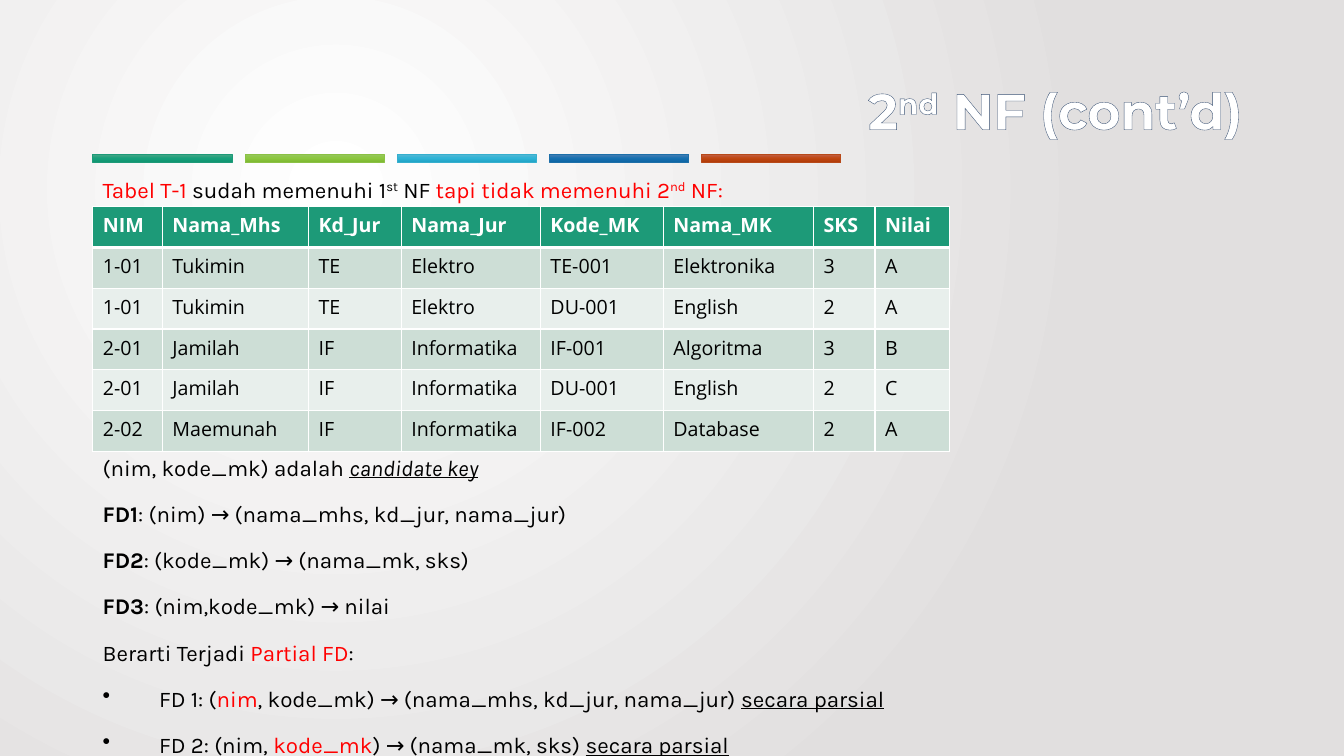
from pptx import Presentation
from pptx.dml.color import RGBColor
from pptx.enum.shapes import MSO_SHAPE as Shape
from pptx.enum.text import MSO_ANCHOR as Anchor, MSO_AUTO_SIZE as AutoSize, PP_ALIGN as Align
from pptx.oxml import parse_xml
from pptx.oxml.ns import nsdecls, qn
from pptx.util import Inches, Pt

COLORS = {
    "white": "FFFFFF", "black": "000000", "red": "FF0000", "backdrop": "E1DFDF",
    "title_edge": "3A5274", "header": "1D9A78", "odd": "CDDED6", "even": "E8EFEC",
}
BARS = [
    ("4EA788", "17A07B", "0F9470", "1D9A78"),
    ("98C862", "8CC73F", "7DB831", "8BC145"),
    ("59B8D4", "2EB3D6", "21A4C6", "36AFCE"),
    ("4E80B5", "1670B0", "0D65A3", "1D6FA9"),
    ("C2634D", "BF4611", "B13B08", "B74919"),
]
GRADES = [
    ["NIM", "Nama_Mhs", "Kd_Jur", "Nama_Jur", "Kode_MK", "Nama_MK", "SKS", "Nilai"],
    ["1-01", "Tukimin", "TE", "Elektro", "TE-001", "Elektronika", "3", "A"],
    ["1-01", "Tukimin", "TE", "Elektro", "DU-001", "English", "2", "A"],
    ["2-01", "Jamilah", "IF", "Informatika", "IF-001", "Algoritma", "3", "B"],
    ["2-01", "Jamilah", "IF", "Informatika", "DU-001", "English", "2", "C"],
    ["2-02", "Maemunah", "IF", "Informatika", "IF-002", "Database", "2", "A"],
]
COLUMN_WIDTHS = [0.69, 1.45, 0.92, 1.38, 1.22, 1.49, 0.61, 0.74]
RED, SUPER, RED_SUPER = {"color": "red"}, {"raised": True}, {"color": "red", "raised": True}
BOLD, UNDERLINE = {"bold": True}, {"underline": True}
INTRO = [
    [("Tabel T-1 ", RED), ("sudah memenuhi 1", {}), ("st", SUPER), (" NF ", {}),
     ("tapi tidak memenuhi 2", RED), ("nd", RED_SUPER), (" NF:", RED)],
]
DEPENDENCIES = [
    [("(nim, kode_mk) adalah ", {}), ("candidate key", {"italic": True, "underline": True})],
    [("FD1", BOLD), (": (nim) → (nama_mhs, kd_jur, nama_jur)", {})],
    [("FD2", BOLD), (": (kode_mk) → (nama_mk, sks)", {})],
    [("FD3", BOLD), (": (nim,kode_mk) → nilai", {})],
    [("Berarti Terjadi ", {}), ("Partial FD", RED), (":", {})],
    [("FD 1: (", {}), ("nim", RED), (", kode_mk) → (nama_mhs, kd_jur, nama_jur) ", {}),
     ("secara parsial", UNDERLINE)],
    [("FD 2: (nim, ", {}), ("kode_mk", RED), (") → (nama_mk, sks) ", {}),
     ("secara parsial", UNDERLINE)],
]
FIRST_BULLET = 5


class NormalFormSlide:
    """Holds the slide and its style, and draws each kind of element."""

    def __init__(self, deck):
        self.slide = deck.slides.add_slide(deck.slide_layouts[5])
        self.left = Inches(0.92)

    def gradient(self, fill, root, hexes, direction):
        fill.gradient()
        gradient = next(root.iter(qn("a:gradFill")))
        for child in list(gradient):
            gradient.remove(child)
        last = len(hexes) - 1
        stops = "".join(
            f'<a:gs pos="{100000 * i // last}"><a:srgbClr val="{value}"/></a:gs>'
            for i, value in enumerate(hexes))
        gradient.append(parse_xml(f'<a:gsLst {nsdecls("a")}>{stops}</a:gsLst>'))
        gradient.append(parse_xml(direction))

    def background(self):
        direction = (f'<a:path {nsdecls("a")} path="circle"><a:fillToRect l="50000" '
                     't="50000" r="100000" b="100000"/></a:path>')
        self.gradient(self.slide.background.fill, self.slide._element,
                      [COLORS["white"], COLORS["backdrop"]], direction)

    def bar(self, index, stops, edge):
        bar = self.slide.shapes.add_shape(
            Shape.RECTANGLE, self.left + Inches(1.51) * index, Inches(1.53),
            Inches(1.38), Inches(0.08))
        bar.shadow.inherit = False
        self.gradient(bar.fill, bar._element, stops,
                      f'<a:lin {nsdecls("a")} ang="5400000" scaled="0"/>')
        bar.line.color.rgb = RGBColor.from_string(edge)
        bar.line.width = Pt(0.5)

    def run(self, paragraph, text, font, size, color="black", raised=False, **style):
        run = paragraph.add_run()
        run.text = text
        run.font.name, run.font.size = font, Pt(size)
        run.font.color.rgb = RGBColor.from_string(COLORS[color])
        for key, value in style.items():
            setattr(run.font, key, value)
        if raised:
            run._r.get_or_add_rPr().set("baseline", "30000")
        return run

    def border(self, tag, color, points):
        return parse_xml(
            f'<a:{tag} {nsdecls("a")} w="{Pt(points)}"><a:solidFill>'
            f'<a:srgbClr val="{COLORS[color]}"/></a:solidFill></a:{tag}>')

    def title(self, parts):
        title = self.slide.shapes.title
        title.left, title.top = self.left, Inches(0.4)
        title.width, title.height = Inches(11.5), Inches(1.45)
        frame = title.text_frame
        frame.word_wrap, frame.auto_size = True, AutoSize.NONE
        frame.vertical_anchor = Anchor.MIDDLE
        heading = frame.paragraphs[0]
        heading.alignment, heading.line_spacing = Align.RIGHT, 0.9
        for text, style in parts:
            run = self.run(heading, text, "Montserrat", 36, "white", bold=True, **style)
            run._r.get_or_add_rPr().insert(0, self.border("ln", "title_edge", 1))

    def text(self, top, height, lines, first_bullet=None):
        frame = self.slide.shapes.add_textbox(
            self.left, Inches(top), Inches(10.25), Inches(height)).text_frame
        frame.word_wrap = True
        for i, parts in enumerate(lines):
            line = frame.add_paragraph() if i else frame.paragraphs[0]
            line.line_spacing, line.space_before = 1.2, Pt(10 if i else 0)
            properties = line._p.get_or_add_pPr()
            properties.set("marL", str(Inches(0.56)))
            properties.set("indent", str(-Inches(0.56)))
            if first_bullet is not None and i >= first_bullet:
                properties.append(parse_xml(f'<a:buChar {nsdecls("a")} char="•"/>'))
            for text, style in parts:
                self.run(line, text, "Karla", 16, **style)

    def table(self, rows, widths):
        height = Inches(2.43)
        table = self.slide.shapes.add_table(
            len(rows), len(widths), self.left, Inches(2.05), Inches(8.5), height).table
        for column, width in zip(table.columns, widths):
            column.width = Inches(width)
        for r, values in enumerate(rows):
            table.rows[r].height = height // len(rows)
            fill = ("odd" if r % 2 else "even") if r else "header"
            edges = {"lnL": 1, "lnR": 1, "lnT": 3 if r == 1 else 1, "lnB": 1 if r else 3}
            for c, value in enumerate(values):
                cell = table.cell(r, c)
                cell.fill.solid()
                cell.fill.fore_color.rgb = RGBColor.from_string(COLORS[fill])
                self.run(cell.text_frame.paragraphs[0], value, "Open Sans", 14,
                         "black" if r else "white", bold=not r)
                for i, (tag, points) in enumerate(edges.items()):
                    cell._tc.get_or_add_tcPr().insert(i, self.border(tag, "white", points))


def main():
    deck = Presentation()
    deck.slide_width, deck.slide_height = Inches(13.33), Inches(7.5)
    page = NormalFormSlide(deck)
    page.background()
    for index, (*stops, edge) in enumerate(BARS):
        page.bar(index, stops, edge)
    page.title([("2", {}), ("nd", SUPER), (" NF (cont’d)", {})])
    page.text(1.64, 0.41, INTRO)
    page.text(4.4, 3.1, DEPENDENCIES, FIRST_BULLET)
    page.table(GRADES, COLUMN_WIDTHS)
    deck.save("out.pptx")


if __name__ == "__main__":
    main()
